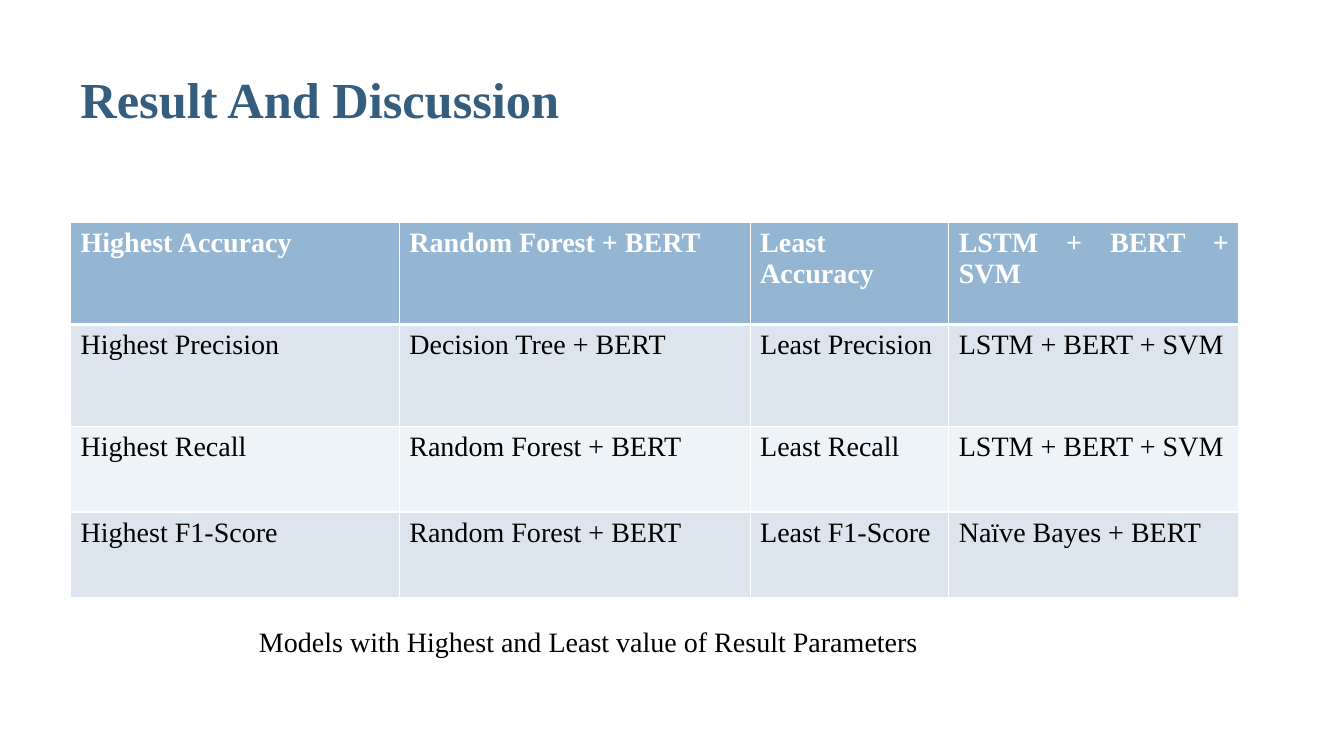
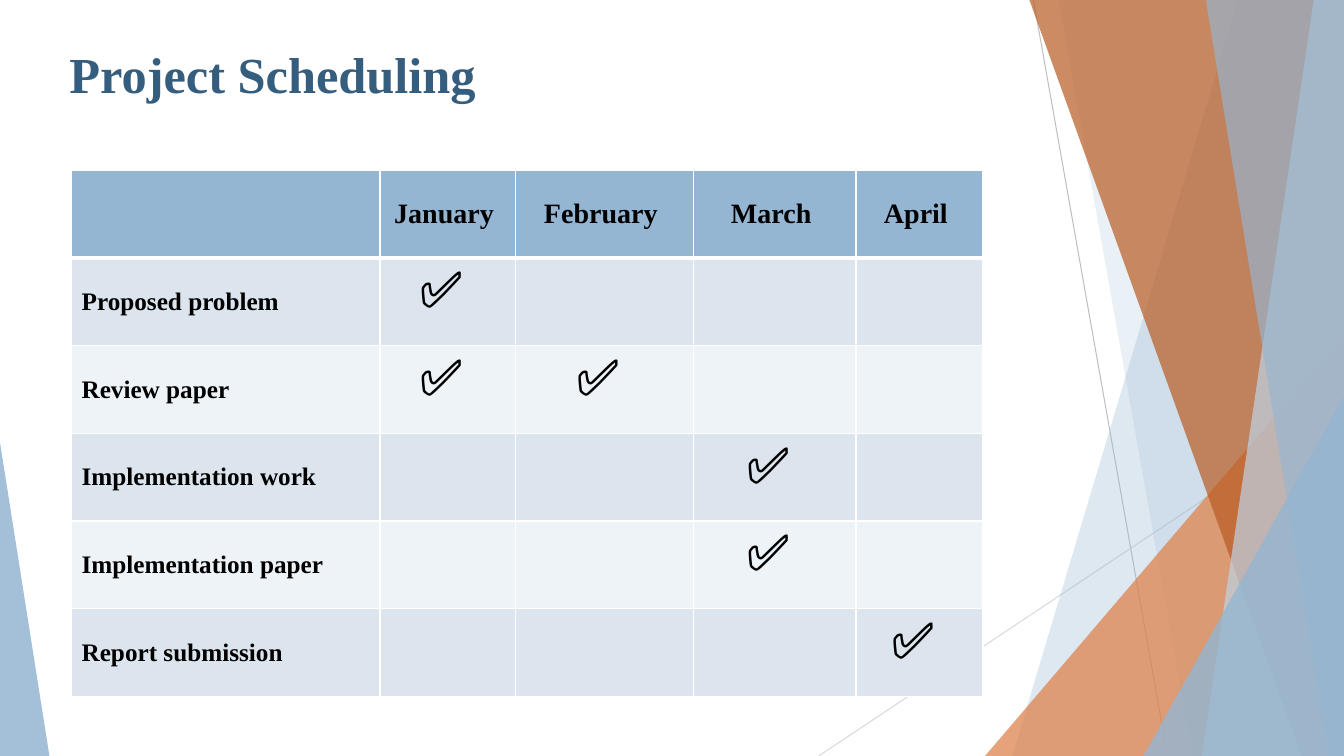
from dataclasses import dataclass

from lxml.etree import SubElement
from pptx import Presentation
from pptx.dml.color import RGBColor
from pptx.enum.shapes import MSO_CONNECTOR, MSO_SHAPE
from pptx.enum.text import MSO_ANCHOR, PP_ALIGN
from pptx.oxml.ns import qn
from pptx.util import Inches, Pt


@dataclass(frozen=True)
class Theme:
    font: str = "Times New Roman"
    title: str = "355D7E"
    text: str = "000000"
    white: str = "FFFFFF"
    blue: str = "94B6D2"
    pale_blue: str = "BFD3E4"
    orange: str = "DD8047"
    dark_orange: str = "B95B22"
    bands: tuple = ("DCE5EE", "EEF3F7")
    title_size: int = 36
    body_size: int = 20
    label_size: int = 18
    check_size: int = 36
    grid_width: int = 1
    header_rule_width: int = 3


THEME = Theme()
SLIDE_WIDTH, SLIDE_HEIGHT = 13.33, 7.5

RESULTS = [
    ("Highest Accuracy", "Random Forest + BERT ", "Least Accuracy ", "LSTM + BERT + SVM"),
    ("Highest Precision ", "Decision Tree + BERT ", "Least Precision", "LSTM + BERT + SVM"),
    ("Highest Recall ", "Random Forest + BERT", "Least Recall", "LSTM + BERT + SVM"),
    ("Highest F1-Score", "Random Forest + BERT", "Least F1-Score", "Naïve Bayes + BERT "),
]
RESULT_COLUMNS = (3.26, 3.48, 1.97, 2.88)
RESULT_ROWS = (1.01, 1.01, 0.85, 0.85)
CAPTION = "Models with Highest and Least value of Result Parameters"

MONTHS = ("January", "February", "March", "April")
TASKS = [
    ("Proposed problem", {"January"}),
    ("Review paper", {"January", "February"}),
    ("Implementation work", {"March"}),
    ("Implementation paper", {"March"}),
    ("Report submission", {"April"}),
]
SCHEDULE_COLUMNS = (3.06, 1.34, 1.77, 1.61, 1.26)
SCHEDULE_ROW_HEIGHT = 0.87
CHECK = "✅ "

# Lines: start, end, colour
LINES = [
    ((10.25, 0), (11.58, 7.5), "BFBFBF"),
    ((13.33, 4.03), (8.12, 7.5), "D9D9D9"),
]
# Bands reach the right edge: left x at top, left x at bottom, colour, opacity
BANDS_BEHIND = [
    (12.28, 10.04, THEME.blue, 30),
    (10.5, 11.83, THEME.blue, 20),
]
BANDS_IN_FRONT = [
    (10.21, 12.91, THEME.dark_orange, 70),
    (13.03, 11.92, THEME.pale_blue, 70),
    (11.96, 13.18, THEME.blue, 65),
]
# Triangles stand on the bottom edge: left, top, width, apex, colour, opacity
ORANGE_TRIANGLE = (9.77, 3.33, 3.56, 1, THEME.orange, 72)
CORNER_TRIANGLES = [
    (11.34, 3.93, 1.99, 1, THEME.blue, 80),
    (0, 4.39, 0.49, 0, THEME.blue, 85),
]


def color(value):
    return RGBColor.from_string(value)


def write(frame, text, size, text_color, bold=False, align=PP_ALIGN.LEFT):
    paragraph = frame.paragraphs[0]
    paragraph.text = text
    paragraph.alignment = align
    font = paragraph.font
    font.name, font.size, font.bold = THEME.font, Pt(size), bold
    font.color.rgb = color(text_color)


def add_text(slide, box, text, size, text_color, bold=False):
    frame = slide.shapes.add_textbox(*map(Inches, box)).text_frame
    frame.word_wrap = True
    write(frame, text, size, text_color, bold, PP_ALIGN.JUSTIFY)


def add_title(slide, box, text):
    add_text(slide, box, text, THEME.title_size, THEME.title, bold=True)


def set_borders(cell, row):
    """Draw a white grid, with a thicker rule under the header row."""
    widths = {"lnL": THEME.grid_width, "lnR": THEME.grid_width,
              "lnT": THEME.header_rule_width if row == 1 else THEME.grid_width,
              "lnB": THEME.header_rule_width if row == 0 else THEME.grid_width}
    properties = cell._tc.get_or_add_tcPr()
    for side, width in widths.items():
        line = SubElement(properties, qn(f"a:{side}"), w=str(Pt(width)))
        fill = SubElement(line, qn("a:solidFill"))
        SubElement(fill, qn("a:srgbClr"), val=THEME.white)


def add_table(slide, left, top, columns, rows):
    """Add an empty table with the shared header, bands and grid."""
    table = slide.shapes.add_table(
        len(rows), len(columns), Inches(left), Inches(top),
        Inches(sum(columns)), Inches(sum(rows))).table
    for column, width in zip(table.columns, columns):
        column.width = Inches(width)
    for index, (row, height) in enumerate(zip(table.rows, rows)):
        row.height = Inches(height)
        for cell in row.cells:
            set_borders(cell, index)
            cell.fill.solid()
            cell.fill.fore_color.rgb = color(
                THEME.bands[(index - 1) % 2] if index else THEME.blue)
    return table


def style_shape(shape, fill_color, opacity):
    shape.shadow.inherit = False
    shape.line.fill.background()
    shape.fill.solid()
    shape.fill.fore_color.rgb = color(fill_color)
    value = shape.fill._xPr.find(".//" + qn("a:srgbClr"))
    SubElement(value, qn("a:alpha"), val=str(opacity * 1000))


def add_band(slide, top_x, bottom_x, fill_color, opacity):
    builder = slide.shapes.build_freeform(Inches(top_x), 0)
    corners = [(SLIDE_WIDTH, 0), (SLIDE_WIDTH, SLIDE_HEIGHT), (bottom_x, SLIDE_HEIGHT)]
    builder.add_line_segments([(Inches(x), Inches(y)) for x, y in corners])
    style_shape(builder.convert_to_shape(), fill_color, opacity)


def add_triangle(slide, left, top, width, apex, fill_color, opacity):
    shape = slide.shapes.add_shape(
        MSO_SHAPE.ISOSCELES_TRIANGLE, Inches(left), Inches(top),
        Inches(width), Inches(SLIDE_HEIGHT - top))
    shape.adjustments[0] = apex
    style_shape(shape, fill_color, opacity)


def add_facets(slide):
    """Draw the translucent facets at the slide's edges."""
    for start, end, line_color in LINES:
        connector = slide.shapes.add_connector(
            MSO_CONNECTOR.STRAIGHT, *map(Inches, start + end))
        connector.line.color.rgb = color(line_color)
        connector.line.width = Pt(0.75)
        SubElement(connector._element.spPr, qn("a:effectLst"))
    for band in BANDS_BEHIND:
        add_band(slide, *band)
    add_triangle(slide, *ORANGE_TRIANGLE)
    for band in BANDS_IN_FRONT:
        add_band(slide, *band)
    for triangle in CORNER_TRIANGLES:
        add_triangle(slide, *triangle)


def build_results(slide):
    table = add_table(slide, 0.7, 2.21, RESULT_COLUMNS, RESULT_ROWS)
    for index, texts in enumerate(RESULTS):
        header = index == 0
        for cell, text in zip(table.rows[index].cells, texts):
            write(cell.text_frame, text, THEME.body_size,
                  THEME.white if header else THEME.text, header, PP_ALIGN.JUSTIFY)
    add_text(slide, (2.47, 6.15, 10.5, 0.44), CAPTION, THEME.body_size, THEME.text)
    add_title(slide, (0.7, 0.63, 11.36, 0.71), "Result And Discussion ")


def build_schedule(slide):
    add_facets(slide)
    add_title(slide, (0.59, 0.38, 9.4, 0.94), "Project Scheduling")
    rows = [SCHEDULE_ROW_HEIGHT] * (len(TASKS) + 1)
    table = add_table(slide, 0.71, 1.69, SCHEDULE_COLUMNS, rows)
    for column, month in enumerate(MONTHS, start=1):
        header = table.cell(0, column)
        header.vertical_anchor = MSO_ANCHOR.MIDDLE
        write(header.text_frame, month + " ", THEME.body_size, THEME.text,
              True, PP_ALIGN.CENTER)
        for row, (_, months) in enumerate(TASKS, start=1):
            if month in months:
                write(table.cell(row, column).text_frame, CHECK, THEME.check_size,
                      THEME.text, align=PP_ALIGN.CENTER)
    for row, (task, _) in enumerate(TASKS, start=1):
        label = table.cell(row, 0)
        label.vertical_anchor = MSO_ANCHOR.MIDDLE
        write(label.text_frame, task, THEME.label_size, THEME.text, True)


def main():
    presentation = Presentation()
    presentation.slide_width = Inches(SLIDE_WIDTH)
    presentation.slide_height = Inches(SLIDE_HEIGHT)
    blank = presentation.slide_layouts[6]
    for build in (build_results, build_schedule):
        build(presentation.slides.add_slide(blank))
    presentation.save("out.pptx")


if __name__ == "__main__":
    main()
